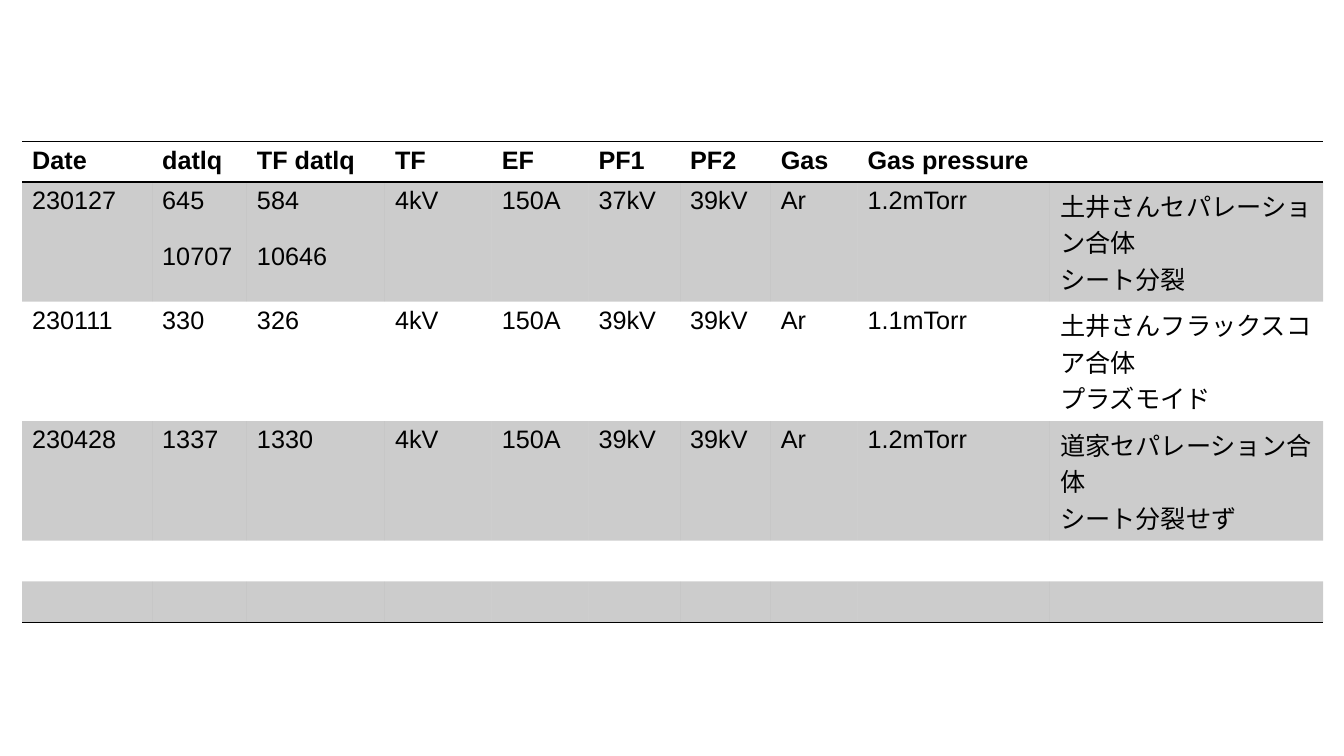
from lxml import etree
from pptx import Presentation
from pptx.dml.color import RGBColor
from pptx.oxml.ns import qn
from pptx.util import Pt

HEADERS = ["Date", "datlq", "TF datlq", "TF", "EF", "PF1", "PF2", "Gas", "Gas pressure", ""]
SHOTS = [
    ["230127", "645\n10707", "584\n10646", "4kV", "150A", "37kV", "39kV", "Ar", "1.2mTorr",
     "土井さんセパレーション合体\nシート分裂"],
    ["230111", "330", "326", "4kV", "150A", "39kV", "39kV", "Ar", "1.1mTorr",
     "土井さんフラックスコア合体\nプラズモイド"],
    ["230428", "1337", "1330", "4kV", "150A", "39kV", "39kV", "Ar", "1.2mTorr",
     "道家セパレーション合体\nシート分裂せず"],
]
EMPTY_ROWS = [[""] * len(HEADERS)] * 2
ROWS = [HEADERS] + SHOTS + EMPTY_ROWS

COLUMN_WIDTHS = [92.9, 67.7, 98.6, 76.3, 69.1, 65.5, 64.8, 61.9, 137.5, 195.1]
LINE_HEIGHT, SHOT_HEIGHT = 29.2, 85.4
ROW_HEIGHTS = [LINE_HEIGHT] + [SHOT_HEIGHT] * len(SHOTS) + [LINE_HEIGHT] * len(EMPTY_ROWS)
TABLE_LEFT, TABLE_TOP = 15.8, 100.8
SHOT_NUMBER_COLUMNS = (1, 2)
SHOT_NUMBER_GAP = 19.3
NO_STYLE_NO_GRID = "{2D5ABB26-0587-4C30-8999-92F81FD0307C}"
BLACK = "000000"


def color(hex_value):
    return RGBColor.from_string(hex_value)


def write(frame, text, size=18, bold=False, hex_value=BLACK, gap=0):
    """Put each line of the text in its own paragraph, gap points apart."""
    for index, line in enumerate(text.split("\n")):
        paragraph = frame.paragraphs[0] if index == 0 else frame.add_paragraph()
        if index and gap:
            paragraph.space_before = Pt(gap)
        if line:
            run = paragraph.add_run()
            run.text = line
            run.font.name = "Arial"
            run.font.size = Pt(size)
            run.font.bold = bold
            run.font.color.rgb = color(hex_value)


def add_border(cell, side, hex_value=BLACK, width=1):
    """Draw one cell border; side is T or B."""
    properties = cell._tc.get_or_add_tcPr()
    line = etree.SubElement(properties, qn("a:ln" + side), w=str(Pt(width)))
    fill = etree.SubElement(line, qn("a:solidFill"))
    etree.SubElement(fill, qn("a:srgbClr"), val=hex_value)


def shade(cell, hex_value=BLACK, opacity=20):
    cell.fill.solid()
    cell.fill.fore_color.rgb = color(hex_value)
    tone = cell._tc.tcPr.find(qn("a:solidFill")).find(qn("a:srgbClr"))
    etree.SubElement(tone, qn("a:alpha"), val=str(opacity * 1000))


presentation = Presentation()
presentation.slide_width, presentation.slide_height = Pt(960), Pt(540)
slide = presentation.slides.add_slide(presentation.slide_layouts[6])

table = slide.shapes.add_table(
    len(ROWS), len(HEADERS), Pt(TABLE_LEFT), Pt(TABLE_TOP),
    Pt(sum(COLUMN_WIDTHS)), Pt(sum(ROW_HEIGHTS))).table
table.horz_banding = False
table._tbl.tblPr.find(qn("a:tableStyleId")).text = NO_STYLE_NO_GRID
for column, width in zip(table.columns, COLUMN_WIDTHS):
    column.width = Pt(width)
for row, height in zip(table.rows, ROW_HEIGHTS):
    row.height = Pt(height)

last_row = len(ROWS) - 1
for row_index, values in enumerate(ROWS):
    for column_index, value in enumerate(values):
        cell = table.cell(row_index, column_index)
        write(cell.text_frame, value, bold=row_index == 0,
              gap=SHOT_NUMBER_GAP if column_index in SHOT_NUMBER_COLUMNS else 0)
        if row_index == 0:
            add_border(cell, "T")
        if row_index in (0, last_row):
            add_border(cell, "B")
        if row_index % 2:
            shade(cell)
        else:
            cell.fill.background()

presentation.save("out.pptx")
